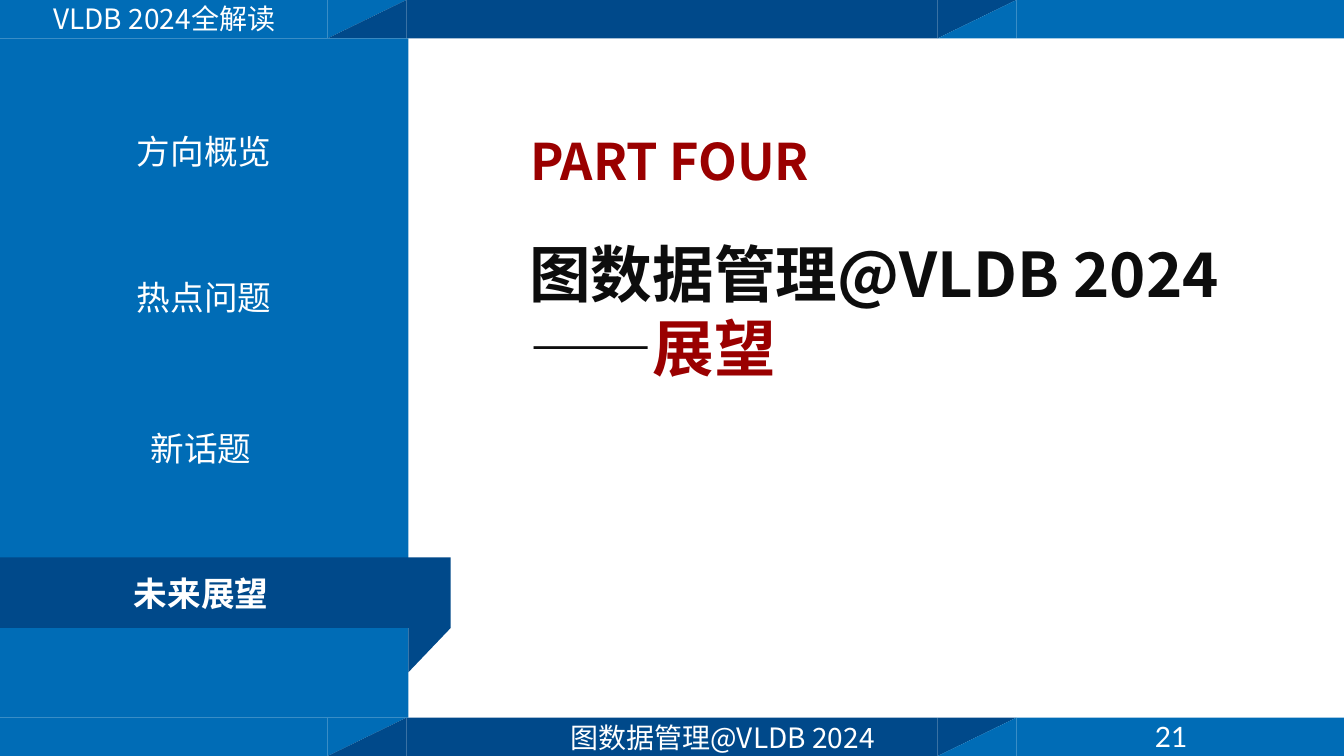
"""Build the section slide that opens part four, with a side menu and two bands."""
import pptx
import pptx.dml.color
import pptx.enum.shapes
import pptx.enum.text
import pptx.oxml
import pptx.oxml.ns
import pptx.util

Inches = pptx.util.Inches
SHAPE = pptx.enum.shapes.MSO_SHAPE
ALIGN = pptx.enum.text.PP_ALIGN

COLORS = {"blue": "006CB6", "navy": "00498A", "red": "9A0000",
          "black": "0D0D0D", "white": "FFFFFF"}
CJK, LATIN = "Noto Sans CJK SC", "Lato"

TITLE = [[("图数据管理@VLDB 2024", "black")], [("——", "black"), ("展望", "red")]]
MENU = [("方向概览", 0.52, 1.25, False), ("热点问题", 0.52, 2.7, False),
        ("新话题", 0.49, 4.2, False), ("未来展望", 0.49, 5.63, True)]
LABELS = [("21", (10.08, 7.09, 3.07, 0.44), LATIN),
          ("VLDB 2024全解读", (0.3, -0.03, 2.66, 0.44), CJK),
          ("图数据管理@VLDB 2024", (5.27, 7.1, 3.79, 0.44), CJK)]

WIDTH, HEIGHT, BAND = 13.33, 7.5, 0.38
EDGES = [0, 3.25, 4.03, 9.3, 10.08, WIDTH]
MENU_WIDTH = 4.05


def add_block(slide, kind, box, color, turn=0):
    """Add a filled shape that covers the box after a turn of 0, 90 or 270 degrees."""
    x, y, w, h = box
    if turn:
        x, y, w, h = x + (w - h) / 2, y + (h - w) / 2, h, w
    sp = slide.shapes.add_shape(kind, *map(Inches, (x, y, w, h)))
    sp.rotation = turn
    sp.shadow.inherit = False
    sp.fill.solid()
    sp.fill.fore_color.rgb = pptx.dml.color.RGBColor.from_string(COLORS[color])
    sp.line.fill.background()


def add_band(slide, top):
    """Add a band of three blocks joined by slanted seams."""
    for i, color in enumerate(["blue", None, "navy", None, "blue"]):
        box = (EDGES[i], top, EDGES[i + 1] - EDGES[i], BAND)
        if color:
            add_block(slide, SHAPE.RECTANGLE, box, color)
        else:
            left, right = ("blue", "navy") if i == 1 else ("navy", "blue")
            add_block(slide, SHAPE.RIGHT_TRIANGLE, box, left, 90)
            add_block(slide, SHAPE.RIGHT_TRIANGLE, box, right, 270)


def fill_text(sp, lines, size, font=CJK, bold=False, align=ALIGN.CENTER):
    """Write lines of coloured runs into a shape."""
    tf = sp.text_frame
    tf.word_wrap = True
    tf.auto_size = pptx.enum.text.MSO_AUTO_SIZE.NONE
    tf.vertical_anchor = pptx.enum.text.MSO_ANCHOR.TOP
    for i, runs in enumerate(lines):
        p = tf.add_paragraph() if i else tf.paragraphs[0]
        p.alignment = align
        p.font.size, p.font.bold, p.font.name = pptx.util.Pt(size), bold, font
        for text, color in runs:
            r = p.add_run()
            r.text = text
            r.font.color.rgb = pptx.dml.color.RGBColor.from_string(COLORS[color])
            r.font.name = font
            ea = pptx.oxml.parse_xml(
                f'<a:ea {pptx.oxml.ns.nsdecls("a")} typeface="{font}"/>')
            r.font._element.append(ea)


def add_text(slide, box, *args, **kwargs):
    """Add a text box holding the given lines."""
    fill_text(slide.shapes.add_textbox(*map(Inches, box)), *args, **kwargs)


def main():
    """Build and save the slide."""
    prs = pptx.Presentation()
    prs.slide_width, prs.slide_height = Inches(WIDTH), Inches(HEIGHT)
    s = prs.slides.add_slide(prs.slide_layouts[5])

    for top in (HEIGHT - BAND, 0):
        add_band(s, top)
    add_block(s, SHAPE.RECTANGLE, (0, BAND, MENU_WIDTH, HEIGHT - 2 * BAND), "blue")
    add_block(s, SHAPE.RECTANGLE, (0, 5.53, 4.47, 0.7), "navy")
    add_block(s, SHAPE.RIGHT_TRIANGLE, (MENU_WIDTH, 6.23, 0.42, 0.44), "navy", 90)

    for text, x, y, bold in MENU:
        add_text(s, (x, y, 3.01, 0.5), [[(text, "white")]], 24, bold=bold)
    for text, box, font in LABELS:
        add_text(s, box, [[(text, "white")]], 20, font)
    add_text(s, (5.16, 1.24, 4.01, 0.71), [[("PART FOUR", "red")]], 36,
             bold=True, align=ALIGN.LEFT)

    title = s.shapes.title
    title.left, title.top, title.width, title.height = map(Inches, (5.15, 2.29, 8.05, 1.58))
    fill_text(title, TITLE, 44, bold=True, align=ALIGN.LEFT)
    prs.save("out.pptx")


if __name__ == "__main__":
    main()
